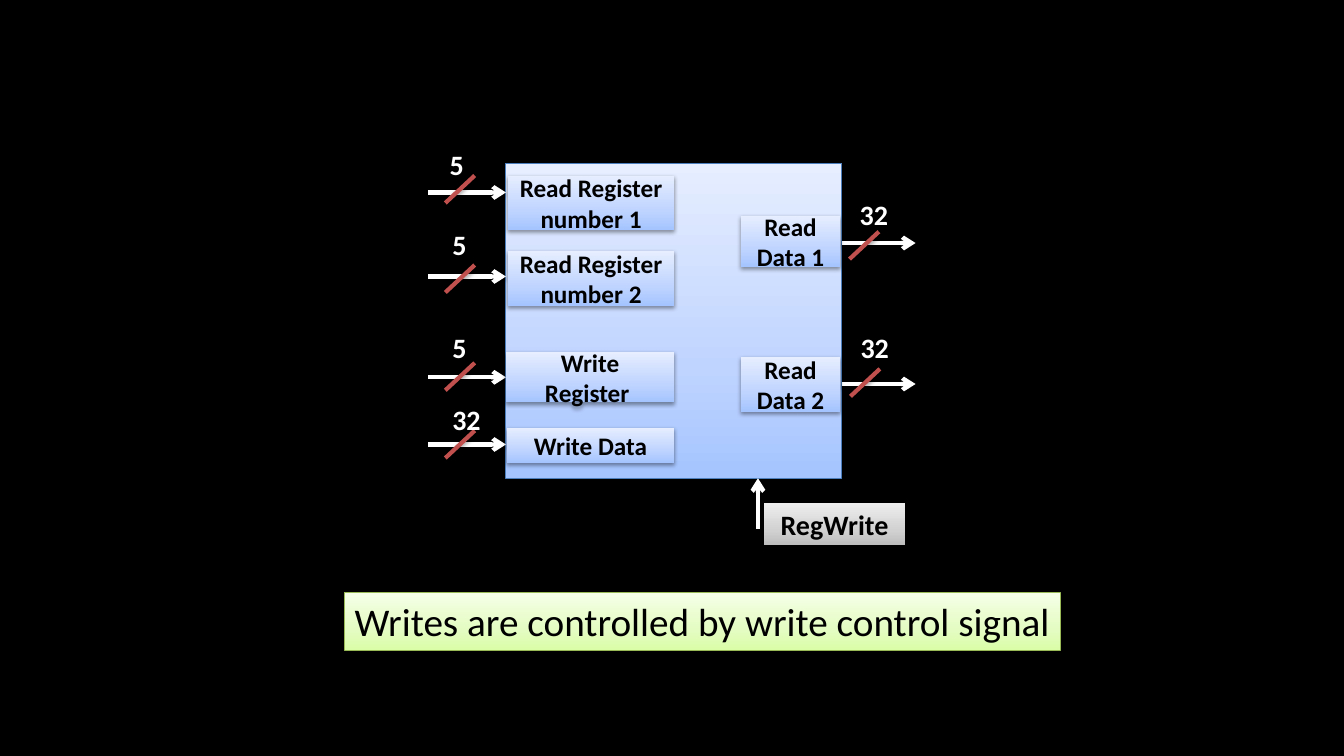
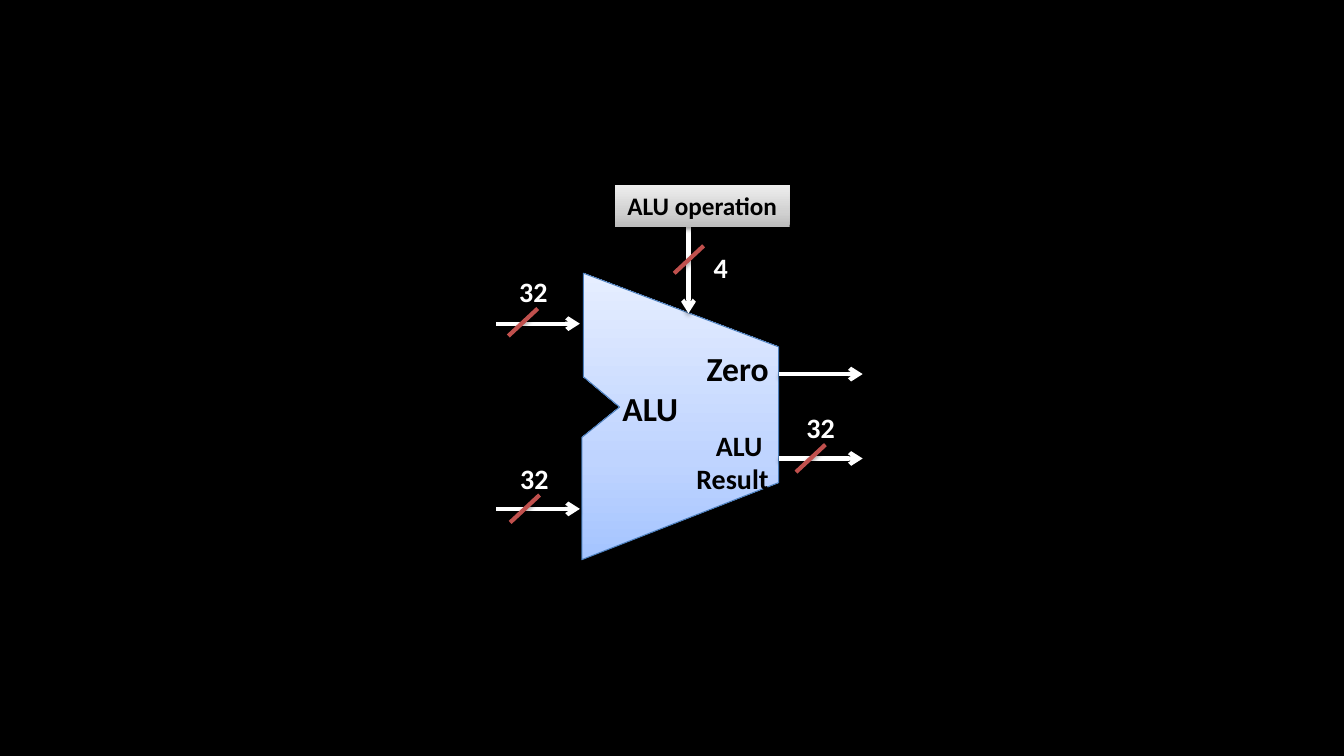
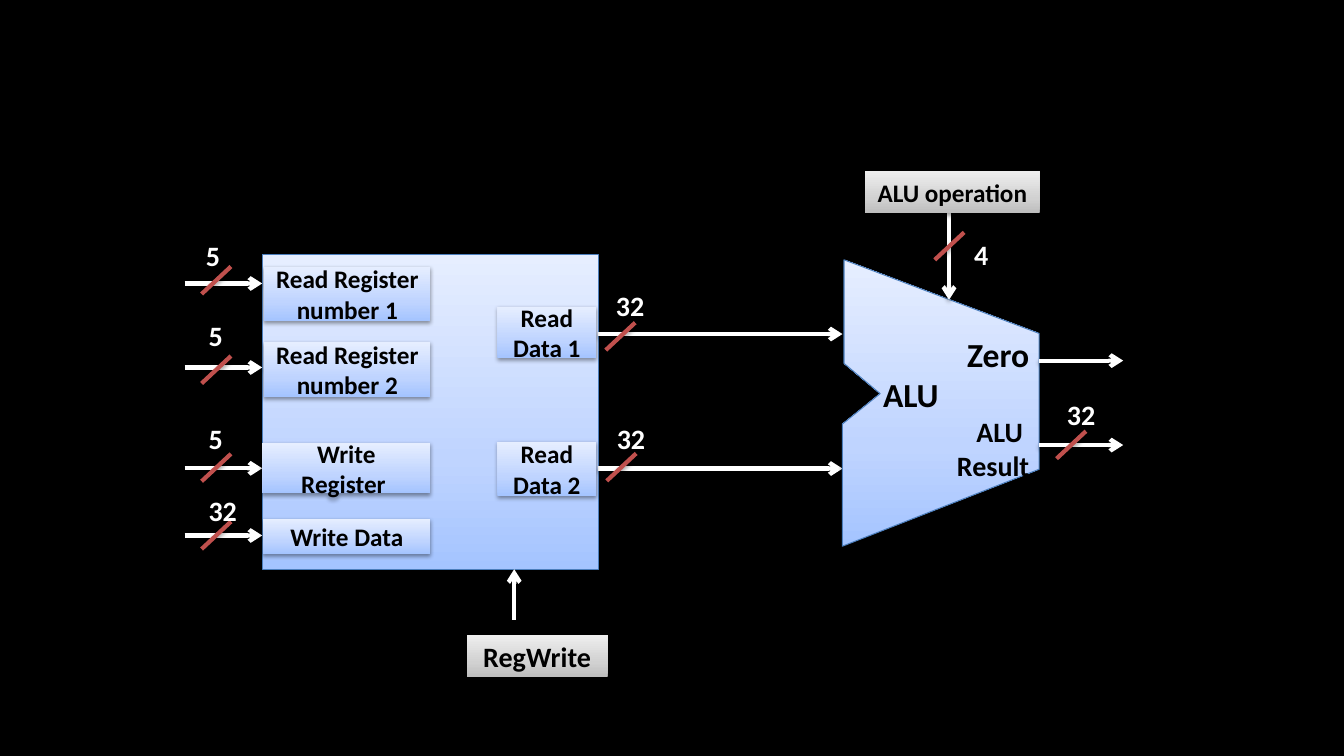
from copy import deepcopy
from dataclasses import dataclass, replace
from typing import NamedTuple, Optional

from lxml.etree import SubElement
from pptx import Presentation
from pptx.dml.color import RGBColor
from pptx.enum.shapes import MSO_CONNECTOR, MSO_SHAPE
from pptx.enum.text import MSO_ANCHOR, MSO_AUTO_SIZE, PP_ALIGN
from pptx.oxml.ns import qn
from pptx.shapes.autoshape import Shape
from pptx.shapes.connector import Connector
from pptx.slide import Slide
from pptx.text.text import TextFrame
from pptx.util import Pt


# Theme
class Gradient(NamedTuple):
    bottom: str
    middle: str
    top: str


class Shadow(NamedTuple):
    opacity: int
    distance: float


@dataclass(frozen=True)
class Theme:
    font: str = "Calibri"
    background: str = "000000"
    ink: str = "000000"
    signal: str = "FFFFFF"
    slash: str = "C0504D"
    unit_edge: str = "4B7EBC"
    note_edge: str = "98B955"
    unit: Gradient = Gradient("A4C4FF", "BFD4FF", "E6EEFF")
    control: Gradient = Gradient("BDBDBD", "D1D1D1", "EEEEEE")
    note: Gradient = Gradient("DAFDA7", "E4FCC2", "F5FFE7")
    shape_shadow: Shadow = Shadow(38, 1.6)
    line_shadow: Shadow = Shadow(35, 1.8)
    shadow_blur: float = 3.1
    wire_width: float = 3
    edge_width: float = 0.75
    note_size: int = 28
    unit_size: int = 24
    signal_size: int = 20
    port_size: int = 18


THEME = Theme()


# Diagram parts, placed relative to the unit they belong to
class Point(NamedTuple):
    x: float
    y: float

    def moved(self, by: "Point") -> "Point":
        return Point(self.x + by.x, self.y + by.y)


@dataclass(frozen=True)
class Box:
    text: str
    corner: Point
    width: float
    height: float


@dataclass(frozen=True)
class Wire:
    start: Point
    end: Point
    bits: str = ""
    slash: Optional[Point] = None
    label: Optional[Point] = None


SLASH_SPAN = Point(-21, 19.6)
LABEL_HEIGHT = 31.7
LABEL_INSETS = 14.4
DIGIT_WIDTH = 10.2

REGISTER_BODY = Box("", Point(0, 0), 240, 225)
REGISTER_PORTS = (
    Box("Read Register number 1", Point(1.4, 8.8), 118.8, 39),
    Box("Read Register number 2", Point(1.4, 62.8), 118.8, 39),
    Box("Write Register ", Point(0, 134.8), 120.2, 36),
    Box("Write Data", Point(0.7, 188.8), 119.5, 25.2),
)
READ_DATA_1 = Box("Read Data 1", Point(168, 37.5), 70.6, 36.7)
READ_DATA_2 = Box("Read Data 2", Point(168, 138.4), 70.6, 39)
REGISTER_INPUTS = tuple(
    Wire(Point(-55.4, y), Point(0, y), bits, Point(-22.3, slash_y), Point(label_x, label_y))
    for y, bits, slash_y, label_x, label_y in (
        (20.9, "5", 8.8, -47.3, -14.6),
        (80.9, "5", 72.7, -45.4, 42.3),
        (152.9, "5", 142.6, -45.4, 116),
        (200.9, "32", 191, -45.4, 167.6),
    )
)
REG_WRITE_WIRE = Wire(Point(180, 261), Point(180, 225))

ALU_RIGHT = 140.6
ALU_OUTLINE = (
    Point(1.2, 0), Point(1.2, 74), Point(27, 95.6), Point(0, 117.3),
    Point(0, 204.6), Point(ALU_RIGHT, 149.6), Point(ALU_RIGHT, 52.6),
)
ALU_WIRES = (
    Wire(Point(ALU_RIGHT, 72), Point(200.6, 72)),
    Wire(Point(ALU_RIGHT, 132.3), Point(200.6, 132.3), "32", Point(174, 122.4), Point(153.3, 94.7)),
    Wire(Point(76.2, -35.5), Point(76.2, 28.6), "4", Point(87, -19.6), Point(87, -19.8)),
)
ALU_INPUTS = (
    Wire(Point(-61.2, 36), Point(-1.4, 36), "32", Point(-31.5, 25.2), Point(-51.8, -2.9)),
    Wire(Point(-61.2, 168.3), Point(-1.4, 168.3), "32", Point(-30.2, 158.4), Point(-51.1, 131)),
)


# Styling
def color(value: str) -> RGBColor:
    return RGBColor.from_string(value)


def add_shadow(item: Shape | Connector, shadow: Shadow) -> None:
    effects = SubElement(item._element.spPr, qn("a:effectLst"))
    outer = SubElement(effects, qn("a:outerShdw"), {
        "blurRad": str(Pt(THEME.shadow_blur)), "dist": str(Pt(shadow.distance)),
        "dir": "5400000", "rotWithShape": "0",
    })
    black = SubElement(outer, qn("a:srgbClr"), {"val": "000000"})
    SubElement(black, qn("a:alpha"), {"val": str(shadow.opacity * 1000)})


def style_shape(shape: Shape, gradient: Gradient, edge: str = "") -> None:
    shape.fill.gradient()
    shape.fill.gradient_angle = 90
    stop_list = shape._element.spPr.find(".//" + qn("a:gsLst"))
    stop_list.append(deepcopy(stop_list[0]))
    for stop, tint, position in zip(shape.fill.gradient_stops, gradient, (0, 0.35, 1)):
        stop.color.rgb = color(tint)
        stop.position = position
    if edge:
        shape.line.color.rgb = color(edge)
        shape.line.width = Pt(THEME.edge_width)
    else:
        shape.line.fill.background()
    add_shadow(shape, THEME.shape_shadow)


def write(frame: TextFrame, text: str, size: int, ink: str = THEME.ink, bold: bool = True,
          align: PP_ALIGN = PP_ALIGN.LEFT, first: bool = True, indent: float = 0) -> None:
    paragraph = frame.paragraphs[0] if first else frame.add_paragraph()
    paragraph.alignment = align
    if indent:
        paragraph._p.get_or_add_pPr().set("marL", str(Pt(indent)))
    run = paragraph.add_run()
    run.text = text
    run.font.name = THEME.font
    run.font.size = Pt(size)
    run.font.bold = bold
    run.font.color.rgb = color(ink)


# Drawing
def draw_box(slide: Slide, box: Box, origin: Point, gradient: Gradient,
             size: int = THEME.port_size, edge: str = "") -> Shape:
    corner = box.corner.moved(origin)
    shape = slide.shapes.add_shape(
        MSO_SHAPE.RECTANGLE, Pt(corner.x), Pt(corner.y), Pt(box.width), Pt(box.height))
    style_shape(shape, gradient, edge)
    if box.text:
        shape.text_frame.word_wrap = True
        shape.text_frame.vertical_anchor = MSO_ANCHOR.MIDDLE
        write(shape.text_frame, box.text, size, align=PP_ALIGN.CENTER)
    return shape


def draw_line(slide: Slide, start: Point, end: Point, tint: str, arrow: bool = False) -> None:
    line = slide.shapes.add_connector(
        MSO_CONNECTOR.STRAIGHT, Pt(start.x), Pt(start.y), Pt(end.x), Pt(end.y))
    line.line.color.rgb = color(tint)
    line.line.width = Pt(THEME.wire_width)
    if arrow:
        SubElement(line.line._get_or_add_ln(), qn("a:tailEnd"), {"type": "arrow"})
    add_shadow(line, THEME.line_shadow)


def draw_wire(slide: Slide, wire: Wire, origin: Point) -> None:
    draw_line(slide, wire.start.moved(origin), wire.end.moved(origin), THEME.signal, arrow=True)
    if wire.slash:
        slash = wire.slash.moved(origin)
        draw_line(slide, slash, slash.moved(SLASH_SPAN), THEME.slash)
    if wire.label:
        corner = wire.label.moved(origin)
        width = LABEL_INSETS + DIGIT_WIDTH * len(wire.bits)
        label = slide.shapes.add_textbox(Pt(corner.x), Pt(corner.y), Pt(width), Pt(LABEL_HEIGHT))
        label.text_frame.word_wrap = False
        label.text_frame.auto_size = MSO_AUTO_SIZE.SHAPE_TO_FIT_TEXT
        write(label.text_frame, wire.bits, THEME.signal_size, THEME.signal)


def draw_register_file(slide: Slide, origin: Point, reach: float, control: Point,
                       data_2_rise: float = 0) -> None:
    draw_box(slide, REGISTER_BODY, origin, THEME.unit, edge=THEME.unit_edge)
    right = REGISTER_BODY.width
    data_1_y, data_2_y = 57, 157.7 - data_2_rise
    outputs = (
        Wire(Point(right, data_1_y), Point(right + reach, data_1_y), "32",
             Point(266.4, 48.9), Point(245.6, 20.7)),
        Wire(Point(right, data_2_y), Point(right + reach, data_2_y), "32",
             Point(267.1, 146.9 - data_2_rise), Point(246.2, 116)),
    )
    for wire in (*REGISTER_INPUTS, *outputs, REG_WRITE_WIRE):
        draw_wire(slide, wire, origin)
    draw_box(slide, Box("RegWrite", control, 100.8, 30.2), origin, THEME.control,
             THEME.signal_size)
    raised = replace(READ_DATA_2, corner=READ_DATA_2.corner.moved(Point(0, -data_2_rise)))
    for port in (*REGISTER_PORTS, READ_DATA_1, raised):
        draw_box(slide, port, origin, THEME.unit)


def draw_alu(slide: Slide, origin: Point, control_x: float) -> None:
    first, *others = [point.moved(origin) for point in ALU_OUTLINE]
    outline = slide.shapes.build_freeform(Pt(first.x), Pt(first.y))
    outline.add_line_segments([(Pt(point.x), Pt(point.y)) for point in others], close=True)
    alu = outline.convert_to_shape()
    style_shape(alu, THEME.unit, THEME.unit_edge)
    frame = alu.text_frame
    frame.word_wrap = True
    frame.vertical_anchor = MSO_ANCHOR.TOP
    frame.margin_top = Pt(53)
    write(frame, "Zero", THEME.unit_size, align=PP_ALIGN.RIGHT)
    write(frame, "ALU", THEME.unit_size, first=False, indent=22)
    for line in ("ALU ", "Result"):
        write(frame, line, THEME.signal_size, align=PP_ALIGN.RIGHT, first=False)
    for wire in ALU_WIRES:
        draw_wire(slide, wire, origin)
    draw_box(slide, Box("ALU operation", Point(control_x, -63.4), 124.9, 30.2), origin,
             THEME.control)


def draw_note(slide: Slide, box: Box) -> None:
    note = draw_box(slide, replace(box, text=""), Point(0, 0), THEME.note, edge=THEME.note_edge)
    frame = note.text_frame
    frame.word_wrap = True
    frame.vertical_anchor = MSO_ANCHOR.TOP
    frame.auto_size = MSO_AUTO_SIZE.SHAPE_TO_FIT_TEXT
    write(frame, box.text, THEME.note_size, bold=False, align=PP_ALIGN.JUSTIFY)


deck = Presentation()
deck.slide_width, deck.slide_height = Pt(960), Pt(540)


def new_slide() -> Slide:
    slide = deck.slides.add_slide(deck.slide_layouts[6])
    slide.background.fill.solid()
    slide.background.fill.fore_color.rgb = color(THEME.background)
    return slide


# Slide 1: register file
register_slide = new_slide()
draw_register_file(register_slide, Point(361.4, 116.6), reach=52.6, control=Point(184.3, 242.7))
draw_note(register_slide, Box("Writes are controlled by write control signal",
                              Point(246.2, 423.4), 511.2, 41))

# Slide 2: ALU
alu_slide = new_slide()
alu_origin = Point(415.6, 195.2)
draw_alu(alu_slide, alu_origin, control_x=23.6)
for operand in ALU_INPUTS:
    draw_wire(alu_slide, operand, alu_origin)

# Slide 3: register file feeding the ALU
datapath_slide = new_slide()
draw_register_file(datapath_slide, Point(187.3, 181.6), reach=174.5,
                   control=Point(146, 272), data_2_rise=4.6)
draw_alu(datapath_slide, Point(601.7, 185.6), control_x=16.1)

deck.save("out.pptx")
